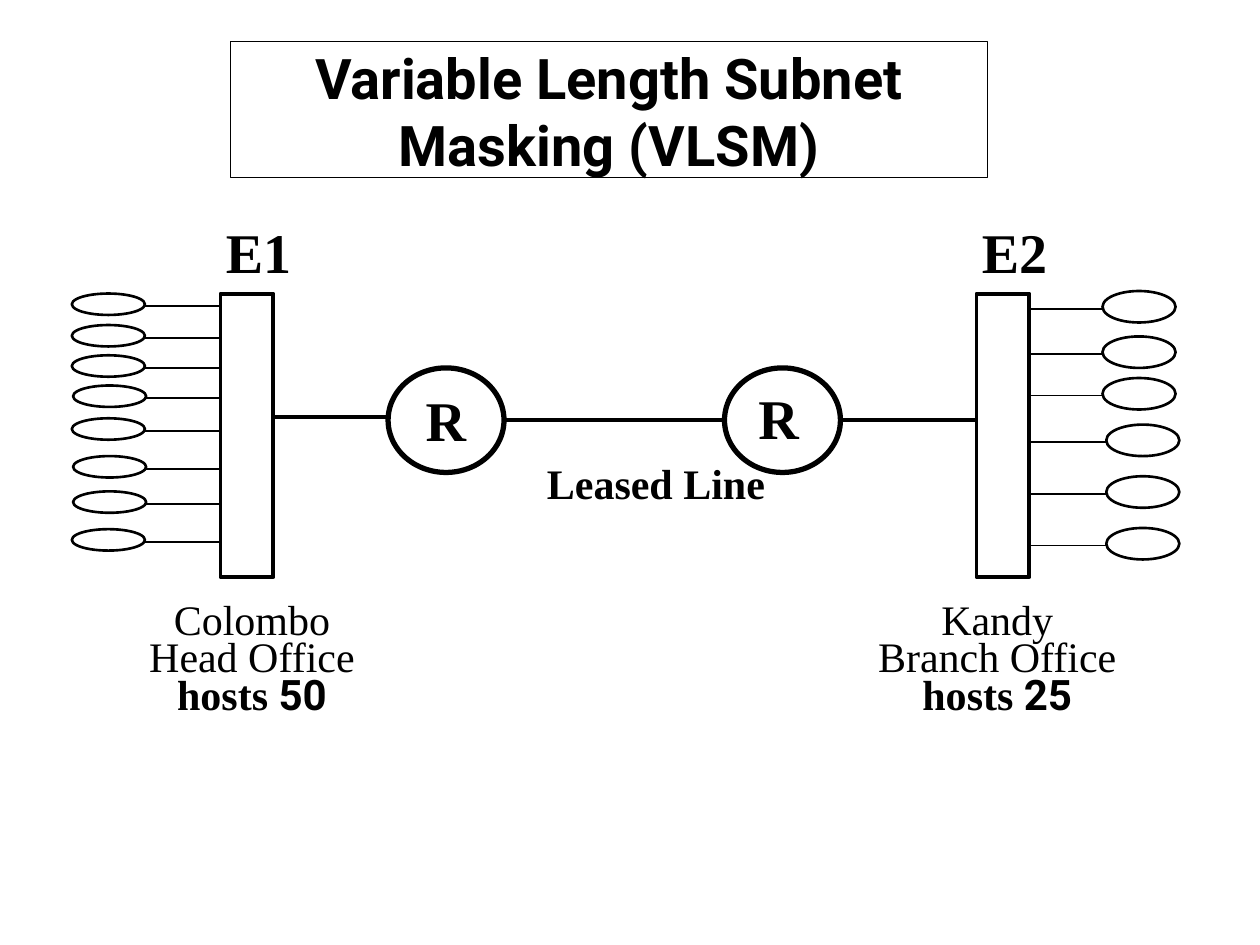
from collections import namedtuple
from dataclasses import dataclass

from lxml import etree
from pptx import Presentation
from pptx.dml import color
from pptx.enum import shapes, text
from pptx.oxml import ns
from pptx.util import Inches, Pt

Box = namedtuple("Box", "left top width height")
Align = text.PP_ALIGN
Preset = shapes.MSO_SHAPE


@dataclass(frozen=True)
class Theme:
    """Colours, fonts, type sizes and line widths of the slide."""
    ink: color.RGBColor = color.RGBColor(0, 0, 0)
    title_font: str = "Roboto"
    body_font: str = "Times New Roman"
    large: int = 32
    medium: int = 24
    frame: float = 0.75
    host_link: float = 1
    host: float = 1.5
    network: float = 2.25
    router: float = 3


THEME = Theme()


def add_outline(page, preset, box, weight):
    """Add an unfilled preset shape with a dark outline."""
    shape = page.shapes.add_shape(preset, *map(Inches, box))
    shape.shadow.inherit = False
    shape.fill.background()
    shape.line.color.rgb = THEME.ink
    shape.line.width = Pt(weight)


def add_link(page, start, end, weight):
    """Join two points with a straight line."""
    link = page.shapes.add_connector(
        shapes.MSO_CONNECTOR.STRAIGHT, *map(Inches, start + end))
    link.line.color.rgb = THEME.ink
    link.line.width = Pt(weight)
    etree.SubElement(link._element.spPr, ns.qn("a:effectLst"))


def add_span(para, words, size, bold=True, font=THEME.body_font):
    """Add one styled run to a paragraph."""
    span = para.add_run()
    span.text = words
    span.font.name = font
    span.font.size = Pt(size)
    span.font.bold = bold
    span.font.color.rgb = THEME.ink
    return span


def add_text_box(page, box, margins=(0.1, 0.05)):
    """Add a wrapping text box whose text rests on its bottom edge."""
    label = page.shapes.add_textbox(*map(Inches, box))
    frame = label.text_frame
    frame.word_wrap = True
    frame.vertical_anchor = text.MSO_ANCHOR.BOTTOM
    frame.margin_left = frame.margin_right = Inches(margins[0])
    frame.margin_top = frame.margin_bottom = Inches(margins[1])
    return label


def add_label(page, box, words, size):
    """Add a bold label aligned to the right of its box."""
    para = add_text_box(page, box).text_frame.paragraphs[0]
    para.alignment = Align.RIGHT
    add_span(para, words, size)


def add_title(page, box, words):
    """Add the framed title."""
    title = add_text_box(page, box, (0, 0))
    title.line.color.rgb = THEME.ink
    title.line.width = Pt(THEME.frame)
    para = title.text_frame.paragraphs[0]
    para.alignment = Align.CENTER
    add_span(para, words, THEME.large, font=THEME.title_font)


def add_router(page, box, label_left, label_top):
    """Add a router circle and its letter."""
    add_outline(page, Preset.OVAL, box, THEME.router)
    label = Box(box.left + label_left, box.top + label_top, 0.5, 0.64)
    add_label(page, label, "R", THEME.large)


def add_segment(page, box, name):
    """Add a network segment with its name above it."""
    add_outline(page, Preset.RECTANGLE, box, THEME.network)
    label = Box(box.left - 0.17, box.top - 0.66, 0.83, 0.64)
    add_label(page, label, name, THEME.large)


def add_hosts(page, box, segment_edge, link_drop, rows):
    """Add host ovals joined to a segment edge, one per (shift, drop) row."""
    for shift, drop in rows:
        oval = box._replace(left=box.left + shift, top=box.top + drop)
        height = oval.top + link_drop
        on_right = oval.left > segment_edge
        oval_edge = oval.left if on_right else oval.left + oval.width
        add_link(page, (segment_edge, height), (oval_edge, height),
                 THEME.host_link)
        add_outline(page, Preset.OVAL, oval, THEME.host)


def add_site(page, box, town, office, hosts):
    """Add the town, office and host count, the count running right to left."""
    frame = add_text_box(page, box).text_frame
    for index, words in enumerate((town, office, hosts)):
        para = frame.paragraphs[0] if index == 0 else frame.add_paragraph()
        para.alignment = Align.CENTER
        para.line_spacing = 0.75
        counted = words == hosts
        span = add_span(para, words, THEME.medium, counted)
        if counted:
            para._p.get_or_add_pPr().set("rtl", "1")
            script_font = etree.SubElement(span.font._element, ns.qn("a:cs"))
            script_font.set("typeface", THEME.title_font)


def main():
    """Build the slide and save it."""
    deck = Presentation()
    deck.slide_width, deck.slide_height = Inches(10), Inches(7.5)
    page = deck.slides.add_slide(deck.slide_layouts[6])

    add_title(page, Box(1.83, 0.33, 6.01, 1.08),
              "Variable Length Subnet Masking (VLSM)")
    add_router(page, Box(3.08, 2.92, 0.92, 0.83), 0.2, 0.08)
    add_router(page, Box(5.75, 2.92, 0.92, 0.83), 0.17, 0.07)
    for left, name in ((1.75, "E1"), (7.75, "E2")):
        add_segment(page, Box(left, 2.33, 0.42, 2.25), name)

    for start, end, height in ((2.17, 3.08, 3.31), (4, 5.75, 3.33),
                               (6.67, 7.75, 3.33)):
        add_link(page, (start, height), (end, height), THEME.network)

    add_hosts(page, Box(0.57, 2.33, 0.58, 0.17), 1.75, 0.1,
              ((0, 0), (0, 0.25), (0, 0.49), (0.01, 0.73), (0, 0.99),
               (0.01, 1.29), (0.01, 1.57), (0, 1.87)))
    add_hosts(page, Box(8.75, 2.31, 0.58, 0.25), 8.17, 0.14,
              ((0, 0), (0, 0.36), (0, 0.69), (0.03, 1.06), (0.03, 1.47),
               (0.03, 1.88)))

    add_site(page, Box(1, 4.75, 2, 1), "Colombo", "Head Office", "50 hosts")
    add_site(page, Box(6.75, 4.75, 2.33, 1), "Kandy", "Branch Office", "25 hosts")
    add_label(page, Box(3.92, 3.58, 2.25, 0.5), "Leased Line", THEME.medium)
    deck.save("out.pptx")


if __name__ == "__main__":
    main()
